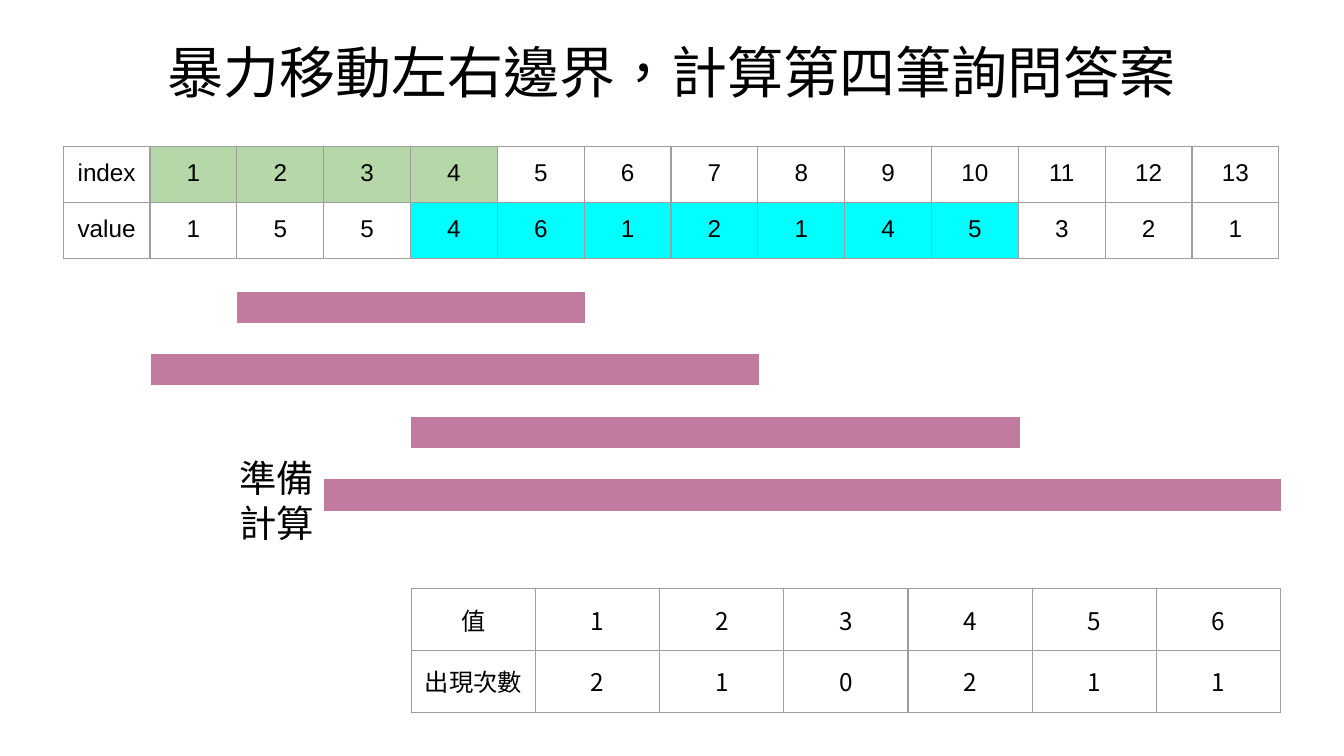
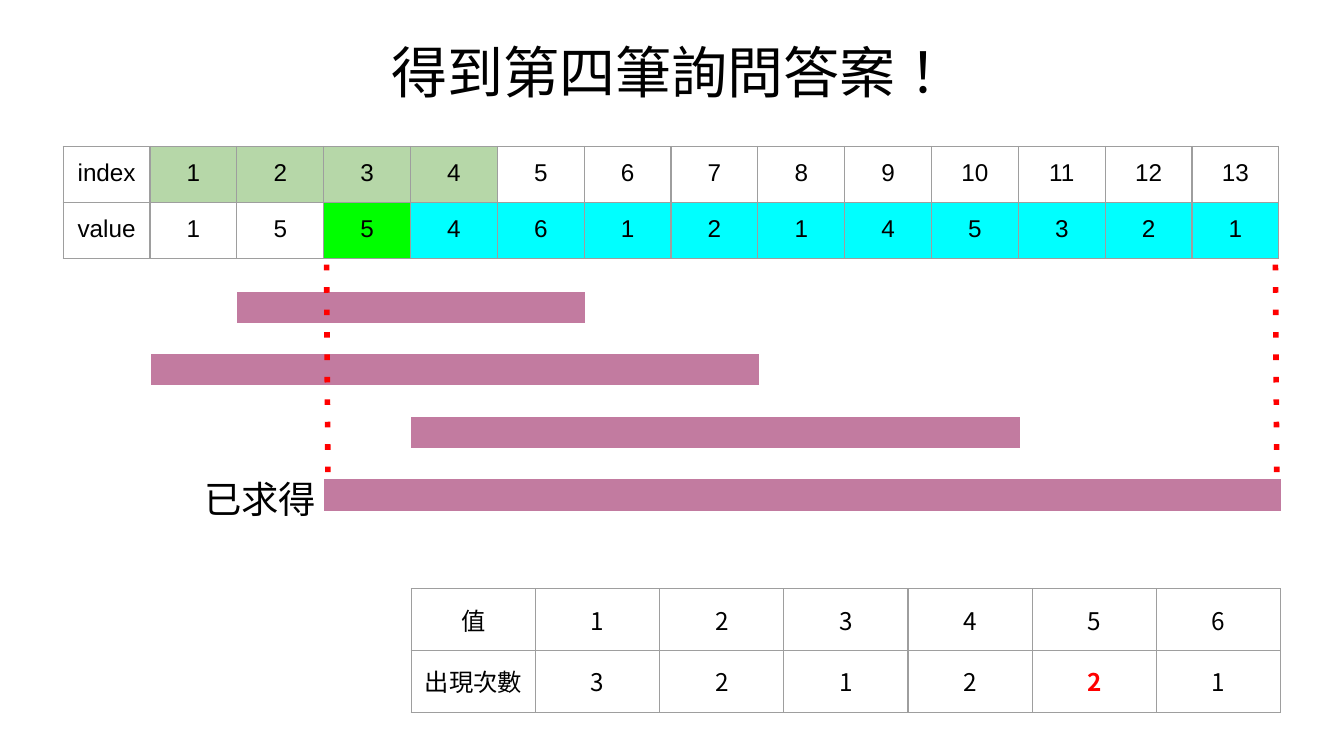
"""Two slides on moving range bounds by brute force to answer the fourth query."""
from collections import Counter

from lxml import etree
from pptx import Presentation
from pptx import util as u
from pptx.dml.color import RGBColor
from pptx.enum import dml, lang, shapes, text
from pptx.oxml.ns import qn

COLOURS = {"ink": "000000", "grid": "9E9E9E", "block": "B6D7A8", "window": "00FFFF",
           "added": "00FF00", "query": "C27BA0", "alert": "FF0000"}
LATIN, CJK = "Arial", "Noto Sans CJK TC"
PLAIN_TABLE = "{2D5ABB26-0587-4C30-8999-92F81FD0307C}"
VALUES = [1, 5, 5, 4, 6, 1, 2, 1, 4, 5, 3, 2, 1]
QUERIES = [(2, 5), (1, 7), (4, 10), (3, 13)]
BLOCK_SIZE = 4
INSETS = dict.fromkeys(("margin_left", "margin_top", "margin_right", "margin_bottom"), u.Inches(0.1))
STEPS = [
    {"title": "暴力移動左右邊界，計算第四筆詢問答案", "window": (4, 10), "added": None,
     "status": ["準備", "計算"], "status_at": (1.68, 3.29), "answer": None, "bounds": []},
    {"title": "得到第四筆詢問答案！", "window": (3, 13), "added": 3,
     "status": ["已求得"], "status_at": (1.42, 3.44), "answer": 5, "bounds": [9.49, 2.43]},
]


def write(frame, lines, size, face, align=text.PP_ALIGN.CENTER, colour="ink", bold=False):
    """Fill a text frame with one paragraph per line."""
    frame.word_wrap = True
    looks = {"size": u.Pt(size), "name": face, "bold": bold,
             "language_id": lang.MSO_LANGUAGE_ID.TRADITIONAL_CHINESE}
    for number, line in enumerate(lines):
        paragraph = frame.paragraphs[0] if number == 0 else frame.add_paragraph()
        paragraph.alignment = align
        run = paragraph.add_run()
        run.text = line
        run.font.color.rgb = RGBColor.from_string(COLOURS[colour])
        for key, value in looks.items():
            setattr(run.font, key, value)
        etree.SubElement(run.font._element, qn("a:ea"), typeface=face)


def add_grid(slide, box, rows, fills, face=None, alerts=()):
    """Add a table; without a face it is a borderless grid of colour only."""
    left, top, width, height = box
    table = slide.shapes.add_table(len(rows), len(rows[0]), *map(u.Inches, box)).table
    table._tbl.tblPr.find(qn("a:tableStyleId")).text = PLAIN_TABLE
    table.first_row = table.horz_banding = False
    for column in table.columns:
        column.width = u.Inches(width / len(rows[0]))
    for row in table.rows:
        row.height = u.Inches(height / len(rows))
    for r, row in enumerate(rows):
        for c, content in enumerate(row):
            cell = table.cell(r, c)
            for key, value in INSETS.items():
                setattr(cell, key, value if face else 0)
            if face:
                properties = cell._tc.get_or_add_tcPr()
                for side in ("lnL", "lnR", "lnT", "lnB"):
                    border = etree.SubElement(properties, qn(f"a:{side}"), w=str(u.Pt(0.75)))
                    solid = etree.SubElement(border, qn("a:solidFill"))
                    etree.SubElement(solid, qn("a:srgbClr"), val=COLOURS["grid"])
                alert = (r, c) in alerts
                write(cell.text_frame, [str(content)], 13, face,
                      colour="alert" if alert else "ink", bold=alert)
            else:
                etree.SubElement(cell.text_frame.paragraphs[0]._p, qn("a:endParaRPr"), sz="800")
            if (r, c) in fills:
                cell.fill.solid()
                cell.fill.fore_color.rgb = RGBColor.from_string(COLOURS[fills[r, c]])
            else:
                cell.fill.background()


deck = Presentation()
deck.slide_width = u.Inches(10)
deck.slide_height = deck.slide_width * 9 // 16
indices = range(1, len(VALUES) + 1)
query_fills = {(2 * n, i - 1): "query"
               for n, (first, last) in enumerate(QUERIES) for i in range(first, last + 1)}
query_rows = [[""] * len(VALUES) for _ in range(2 * len(QUERIES) - 1)]

for step in STEPS:
    slide = deck.slides.add_slide(deck.slide_layouts[6])
    first, last = step["window"]

    heading = slide.shapes.add_textbox(*map(u.Inches, (0, 0.18, 10, 0.67))).text_frame
    write(heading, [step["title"]], 30, CJK)

    array_fills = {(0, i): "block" for i in range(1, BLOCK_SIZE + 1)}
    array_fills |= {(1, i): "window" for i in range(first, last + 1)}
    if step["added"]:
        array_fills[1, step["added"]] = "added"
    add_grid(slide, (0.47, 1.09, 9.05, 0.83), [["index", *indices], ["value", *VALUES]],
             array_fills, LATIN)

    add_grid(slide, (1.12, 2.17, 8.41, 1.63), query_rows, query_fills)

    status = slide.shapes.add_textbox(*map(u.Inches, (*step["status_at"], 1.09, 0.51))).text_frame
    write(status, step["status"], 20, CJK, text.PP_ALIGN.LEFT)
    for frame in (heading, status):
        for key, value in INSETS.items():
            setattr(frame, key, value)

    counts = Counter(VALUES[first - 1:last])
    distinct = sorted(set(VALUES))
    add_grid(slide, (3.06, 4.38, 6.47, 0.92),
             [["值", *distinct], ["出現次數", *(counts[v] for v in distinct)]],
             {}, CJK, [(1, step["answer"])])

    for x in step["bounds"]:
        bound = slide.shapes.add_connector(
            shapes.MSO_CONNECTOR.STRAIGHT, *map(u.Inches, (x, 1.97, x + 0.01, 3.56)))
        bound.line.color.rgb = RGBColor.from_string(COLOURS["alert"])
        for key, value in {"width": u.Pt(3), "dash_style": dml.MSO_LINE.ROUND_DOT}.items():
            setattr(bound.line, key, value)
        bound.line._ln.find(qn("a:prstDash")).set("val", "dot")
        etree.SubElement(bound._element.spPr, qn("a:effectLst"))

deck.save("out.pptx")
